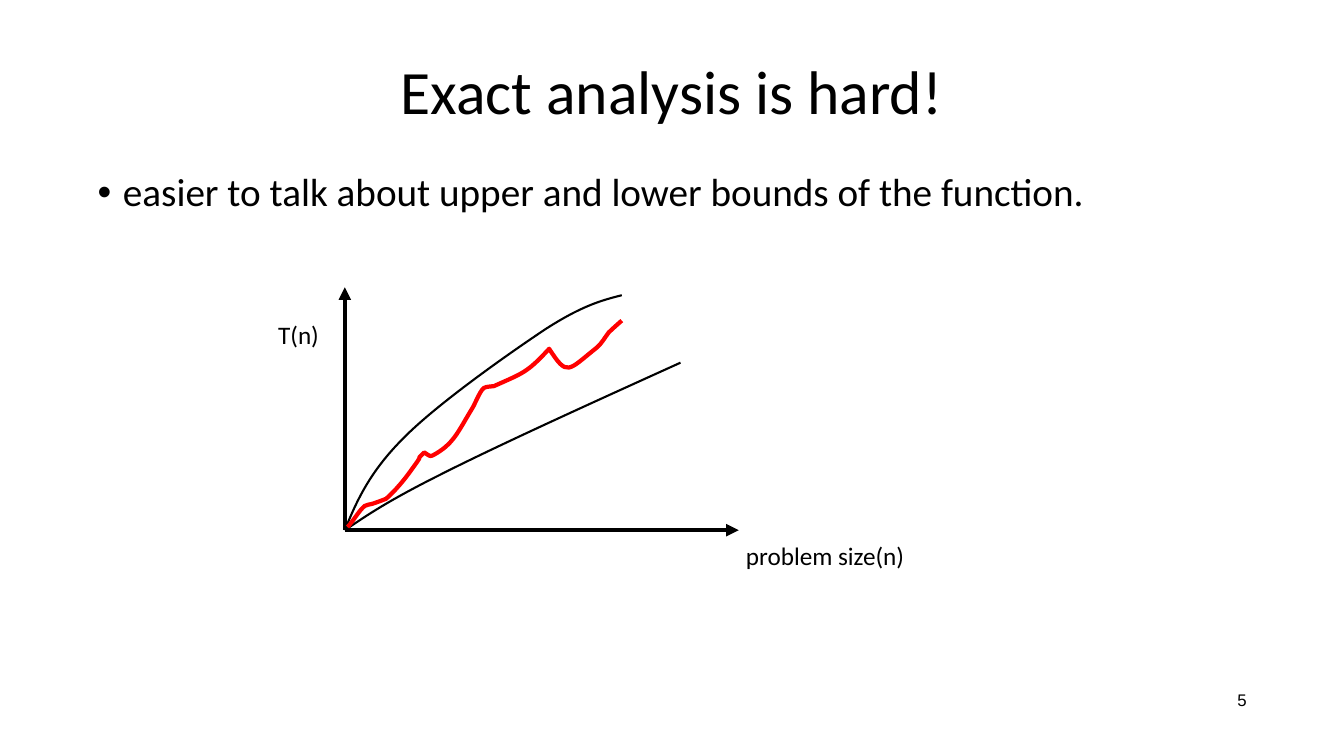
from lxml.etree import SubElement
from pptx import Presentation
from pptx.dml.color import RGBColor
from pptx.enum.shapes import MSO_CONNECTOR
from pptx.enum.text import MSO_ANCHOR, MSO_AUTO_SIZE, PP_ALIGN
from pptx.oxml.ns import qn
from pptx.util import Cm, Pt

BLACK, RED = "000000", "FF0000"
ORIGIN = (8.69, 13.36)


def write(box, text, place, size, font="Calibri", align=PP_ALIGN.LEFT,
          anchor=MSO_ANCHOR.TOP, spacing=0.9, wrap=True, bullet=False):
    """Place a box (left, top, width, height in cm) and fill it with one paragraph."""
    box.left, box.top, box.width, box.height = (Cm(length) for length in place)
    frame = box.text_frame
    frame.word_wrap = wrap
    frame.auto_size = MSO_AUTO_SIZE.NONE if wrap else MSO_AUTO_SIZE.SHAPE_TO_FIT_TEXT
    frame.vertical_anchor = anchor
    frame.margin_left = frame.margin_right = Cm(0.13)
    frame.margin_top = frame.margin_bottom = Cm(0.13)
    para = frame.paragraphs[0]
    para.alignment, para.line_spacing = align, spacing
    if bullet:
        properties = para._p.get_or_add_pPr()
        properties.set("marL", str(Cm(0.64)))
        properties.set("indent", str(-Cm(0.64)))
        SubElement(properties, qn("a:buFont")).set("typeface", "Arial")
        SubElement(properties, qn("a:buChar")).set("char", "•")
    span = para.add_run()
    span.text = text
    span.font.name, span.font.size = font, Pt(size)
    span.font.color.rgb = RGBColor.from_string(BLACK)


def bend(curve):
    """Turn each three straight pieces of a freeform into one cubic segment."""
    outline = next(curve._element.iter(qn("a:path")))
    for index, piece in enumerate(outline.findall(qn("a:lnTo"))):
        if index % 3 == 0:
            segment = SubElement(outline, qn("a:cubicBezTo"))
        segment.append(piece[0])
        outline.remove(piece)


deck = Presentation()
deck.slide_width, deck.slide_height = Cm(33.87), Cm(19.05)
page = deck.slides.add_slide(deck.slide_layouts[5])
shapes = page.shapes

# Text
write(shapes.title, "Exact analysis is hard!", (2.33, 1.02, 29.21, 2.72), 44,
      align=PP_ALIGN.CENTER, anchor=MSO_ANCHOR.MIDDLE)
new_box = (0, 0, Cm(1), Cm(1))
write(shapes.add_textbox(*new_box),
      "easier to talk about upper and lower bounds of the function.",
      (2.33, 4.23, 29.21, 12.93), 28, bullet=True)
write(shapes.add_textbox(*new_box), "5", (23.93, 17.3, 7.62, 0.74), 12,
      font="Arial", align=PP_ALIGN.RIGHT, anchor=MSO_ANCHOR.MIDDLE)
for label, place in (("problem size(n)", (18.67, 13.49, 4.29, 1.04)),
                     ("T(n)", (6.88, 7.92, 1.32, 1.04))):
    write(shapes.add_textbox(*new_box), label, place, 18, spacing=1.0, wrap=False)

# Axes
for tip in ((8.69, 7.24), (18.62, 13.36)):
    axis = shapes.add_connector(MSO_CONNECTOR.STRAIGHT,
                                *(Cm(length) for length in ORIGIN + tip))
    axis.line.color.rgb = RGBColor.from_string(BLACK)
    axis.line.width = Pt(3)
    SubElement(axis.line._get_or_add_ln(), qn("a:tailEnd")).set("type", "triangle")
    SubElement(axis._element.spPr, qn("a:effectLst"))

# Bounds and running time: a start, then two controls and an end per segment
upper_bound = (
    ORIGIN,
    (8.99, 12.62), (9.32, 11.89), (10.16, 11.05),
    (11.0, 10.19), (12.85, 8.89), (13.77, 8.28),
    (14.68, 7.7), (15.16, 7.57), (15.67, 7.44),
)
lower_bound = (
    ORIGIN,
    (9.19, 13.03), (9.68, 12.67), (11.1, 11.96),
    (12.5, 11.25), (14.83, 10.19), (17.15, 9.14),
)
running_time = (
    (8.76, 13.28),
    (8.92, 13.11), (9.04, 12.88), (9.19, 12.75),
    (9.25, 12.7), (9.32, 12.73), (9.37, 12.7),
    (9.47, 12.67), (9.6, 12.62), (9.73, 12.57),
    (9.96, 12.37), (10.21, 12.07), (10.39, 11.81),
    (10.77, 11.3), (10.39, 11.71), (10.69, 11.4),
    (10.77, 11.43), (10.82, 11.53), (10.9, 11.48),
    (11.43, 11.2), (11.53, 10.9), (11.89, 10.31),
    (11.96, 10.21), (12.09, 9.86), (12.19, 9.78),
    (12.27, 9.73), (12.37, 9.75), (12.45, 9.73),
    (13.18, 9.4), (13.28, 9.4), (13.84, 8.79),
    (14.3, 9.5), (14.3, 9.35), (15.04, 8.76),
    (15.16, 8.66), (15.24, 8.51), (15.34, 8.38),
    (15.44, 8.28), (15.67, 8.08), (15.67, 8.08),
)
for knots, color, width in ((upper_bound, BLACK, 1.5), (lower_bound, BLACK, 1.5),
                            (running_time, RED, 3)):
    start, *others = [(Cm(x), Cm(y)) for x, y in knots]
    builder = shapes.build_freeform(*start)
    builder.add_line_segments(others, close=False)
    curve = builder.convert_to_shape()
    bend(curve)
    curve.shadow.inherit = False
    curve.fill.background()
    curve.line.color.rgb = RGBColor.from_string(color)
    curve.line.width = Pt(width)

deck.save("out.pptx")
